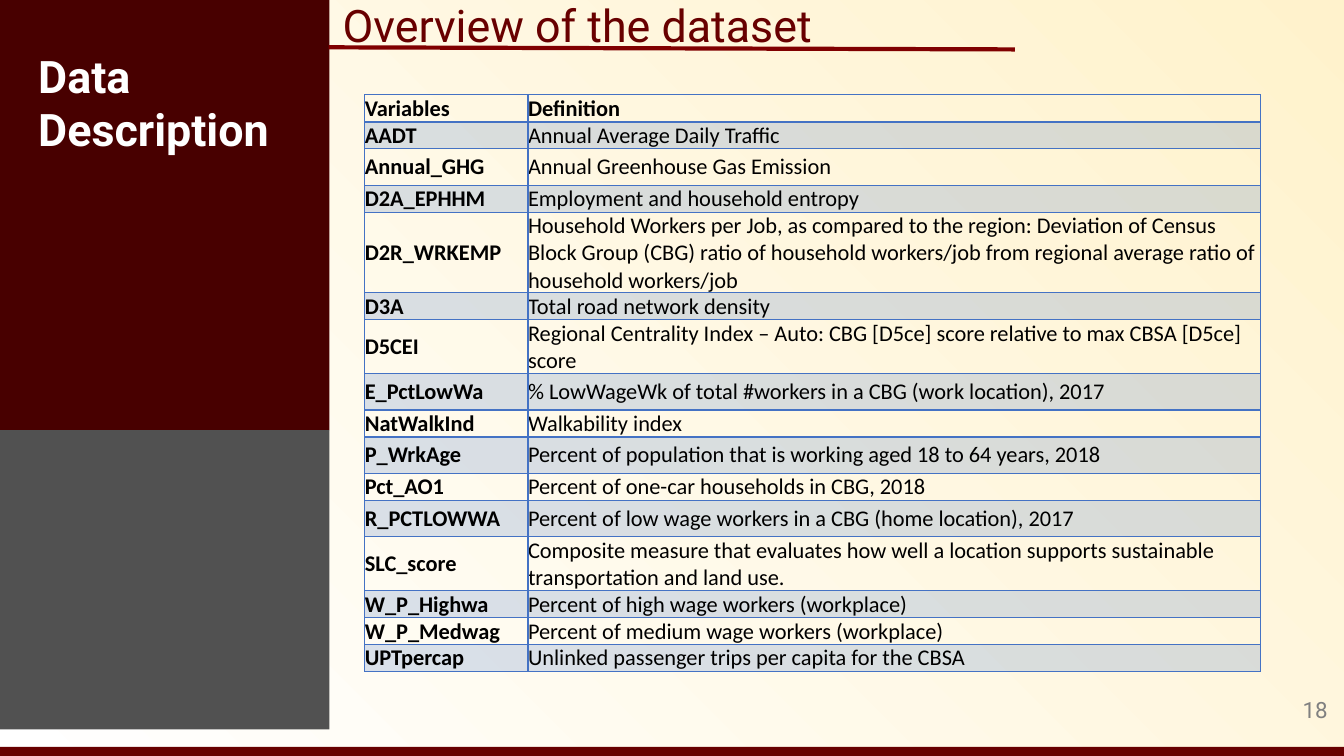
import lxml.etree
import pptx
import pptx.dml.color
import pptx.enum.shapes
import pptx.enum.text
import pptx.oxml.ns
import pptx.util

Pt = pptx.util.Pt
RGB = pptx.dml.color.RGBColor
qn = pptx.oxml.ns.qn
MID = pptx.enum.text.MSO_ANCHOR.MIDDLE

CREAM = RGB(0xFF, 0xF2, 0xCC)
WHITE = RGB(0xFF, 0xFF, 0xFF)
BLACK = RGB(0, 0, 0)
WINE = RGB(0x68, 0, 0)
DARK = RGB(0x48, 0, 0)
RULE = RGB(0x80, 0, 0)
GREY = RGB(0x51, 0x51, 0x51)
PALE = RGB(0x80, 0x80, 0x80)
BLUE = RGB(0x44, 0x72, 0xC4)

ONE, TALL, TWO, THREE = 19.3, 26, 38.5, 57.5  # row heights

ROWS = [
    (ONE, "Variables", "Definition"),
    (ONE, "AADT", "Annual Average Daily Traffic"),
    (TALL, "Annual_GHG", "Annual Greenhouse Gas Emission"),
    (ONE, "D2A_EPHHM", "Employment and household entropy"),
    (THREE, "D2R_WRKEMP",
     "Household Workers per Job, as compared to the region: Deviation of "
     "Census Block Group (CBG) ratio of household workers/job from regional "
     "average ratio of household workers/job"),
    (ONE, "D3A", "Total road network density"),
    (TWO, "D5CEI",
     "Regional Centrality Index – Auto: CBG [D5ce] score relative to max "
     "CBSA [D5ce] score"),
    (TALL, "E_PctLowWa",
     "% LowWageWk of total #workers in a CBG (work location), 2017"),
    (ONE, "NatWalkInd", "Walkability index"),
    (TALL, "P_WrkAge",
     "Percent of population that is working aged 18 to 64 years, 2018"),
    (ONE, "Pct_AO1", "Percent of one-car households in CBG, 2018"),
    (TALL, "R_PCTLOWWA",
     "Percent of low wage workers in a CBG (home location), 2017"),
    (TWO, "SLC_score",
     "Composite measure that evaluates how well a location supports "
     "sustainable transportation and land use."),
    (ONE, "W_P_Highwa", "Percent of high wage workers (workplace)"),
    (ONE, "W_P_Medwag", "Percent of medium wage workers (workplace)"),
    (ONE, "UPTpercap", "Unlinked passenger trips per capita for the CBSA"),
]


def assign(item, values):
    for name, value in values.items():
        setattr(item, name, value)


def write(frame, text, color, **font):
    run = frame.paragraphs[0].add_run()
    run.text = text
    assign(run.font, font)
    run.font.color.rgb = color


def paint(slide):
    """Fill the background with a slanted blend from cream to white."""
    fill = slide.background.fill
    fill.gradient()
    fill.gradient_angle = 225
    for stop, color in zip(fill.gradient_stops, (CREAM, WHITE)):
        stop.color.rgb = color


def add_block(slide, box, color):
    kind = pptx.enum.shapes.MSO_SHAPE.RECTANGLE
    block = slide.shapes.add_shape(kind, *map(Pt, box))
    block.shadow.inherit = False
    block.fill.solid()
    block.fill.fore_color.rgb = color
    block.line.fill.background()


def add_label(slide, box, text, color, frame={}, align=None, **font):
    label = slide.shapes.add_textbox(*map(Pt, box)).text_frame
    assign(label, {"word_wrap": True, **frame})
    label.paragraphs[0].alignment = align
    write(label, text, color, name="Roboto", **font)


def add_rule(slide, ends, color, width):
    kind = pptx.enum.shapes.MSO_CONNECTOR.STRAIGHT
    rule = slide.shapes.add_connector(kind, *map(Pt, ends))
    rule.line.color.rgb = color
    rule.line.width = Pt(width)
    lxml.etree.SubElement(rule._element.spPr, qn("a:effectLst"))


def add_edges(cell, color, widths):
    """Draw the cell borders; widths maps the side letter to points."""
    props = cell._tc.get_or_add_tcPr()
    for side, width in widths.items():
        edge = lxml.etree.SubElement(props, qn("a:ln" + side),
                                     w=str(Pt(width)))
        fill = lxml.etree.SubElement(edge, qn("a:solidFill"))
        lxml.etree.SubElement(fill, qn("a:srgbClr"), val=str(color))


def tint(cell, color, percent):
    cell.fill.solid()
    cell.fill.fore_color.rgb = color
    tone = cell._tc.tcPr.find(qn("a:solidFill"))[0]
    lxml.etree.SubElement(tone, qn("a:alpha"), val=str(percent * 1000))


def add_grid(slide, left, top, widths, rows):
    high = sum(row[0] for row in rows)
    box = (left, top, sum(widths), high)
    grid = slide.shapes.add_table(len(rows), len(widths),
                                  *map(Pt, box)).table
    assign(grid, {"first_row": False, "horz_banding": False})
    for column, width in zip(grid.columns, widths):
        column.width = Pt(width)
    form = {"margin_left": 0, "margin_right": 0, "margin_top": 0,
            "margin_bottom": 0, "vertical_anchor": MID}
    for r, (height, *texts) in enumerate(rows):
        grid.rows[r].height = Pt(height)
        edges = {"L": 1, "R": 1, "T": 2 if r == 1 else 1,
                 "B": 2 if r == 0 else 1}
        for c, text in enumerate(texts):
            cell = grid.cell(r, c)
            assign(cell, form)
            add_edges(cell, BLUE, edges)
            if r % 2:
                tint(cell, BLUE, 20)
            else:
                cell.fill.background()
            write(cell.text_frame, text, BLACK, name="Calibri",
                  size=Pt(16), bold=r == 0 or c == 0)


def main():
    deck = pptx.Presentation()
    assign(deck, {"slide_width": Pt(960), "slide_height": Pt(540)})
    slide = deck.slides.add_slide(deck.slide_layouts[6])
    paint(slide)
    add_block(slide, (0, 533.5, 960, 8), WINE)
    add_block(slide, (-0.7, -0.7, 236, 308), DARK)
    add_block(slide, (-0.7, 307.3, 236, 213.7), GREY)
    add_label(slide, (918, 492.5, 37.5, 29), "18", PALE,
              {"vertical_anchor": MID, "margin_left": 0},
              pptx.enum.text.PP_ALIGN.RIGHT, size=Pt(16))
    add_label(slide, (237.6, -5, 722, 46), "Overview of the dataset", WINE,
              size=Pt(32))
    add_label(slide, (20.2, 31, 193, 85), "Data Description", WHITE,
              size=Pt(32), bold=True)
    add_rule(slide, (234.7, 33.8, 725, 35.3), RULE, 3)
    add_grid(slide, 260.6, 67.7, (116.6, 523.4), ROWS)
    deck.save("out.pptx")


if __name__ == "__main__":
    main()
